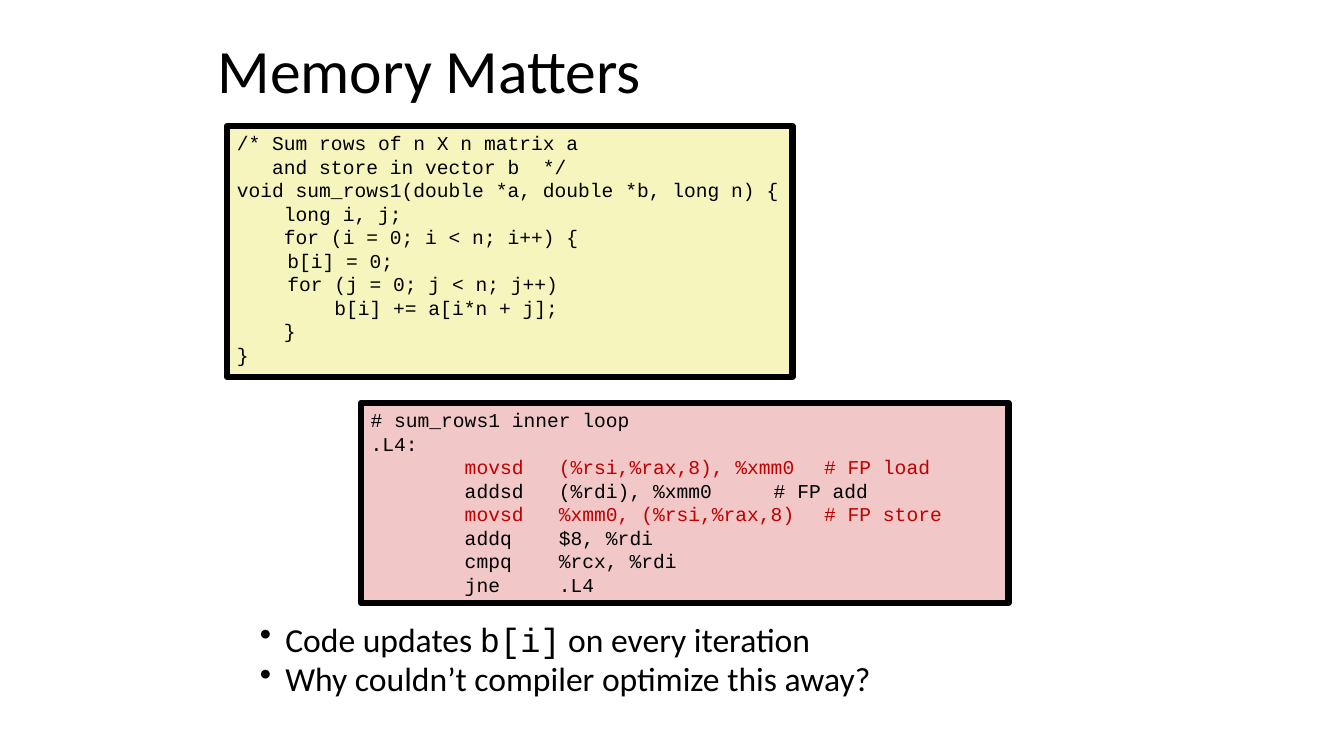
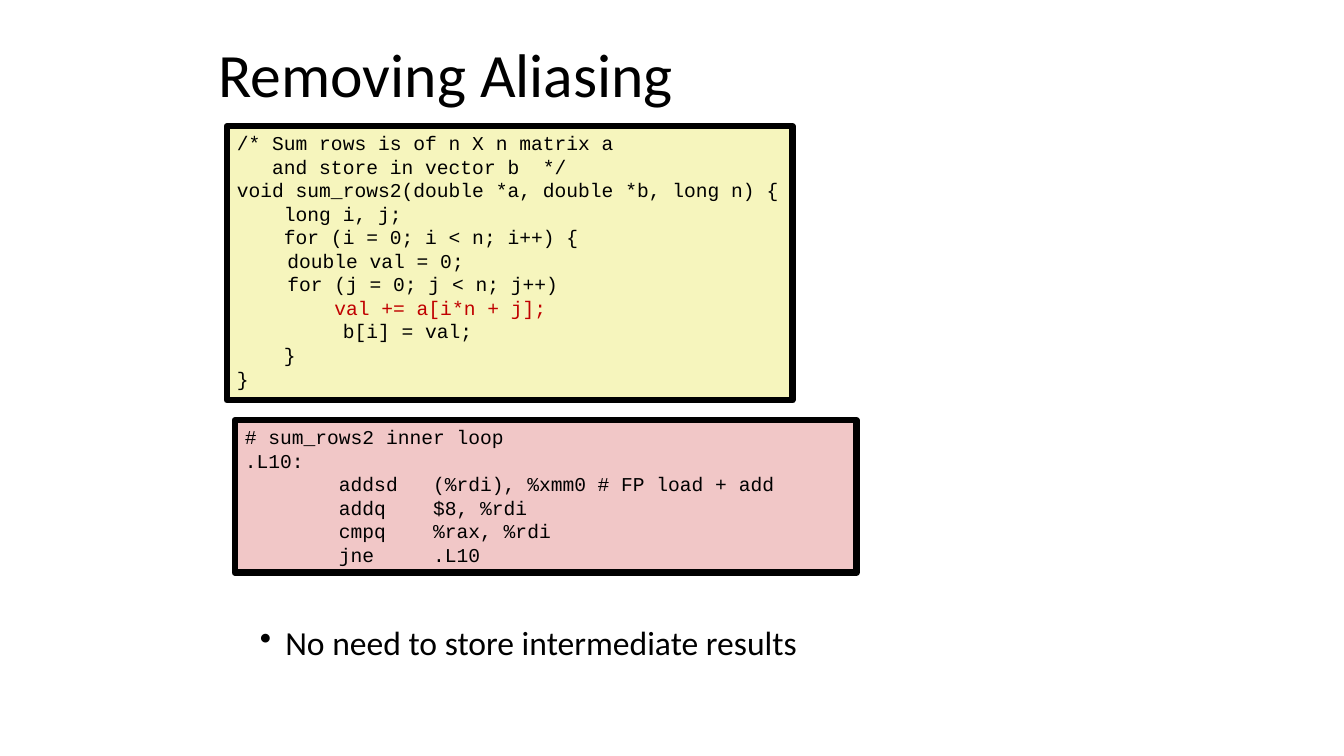
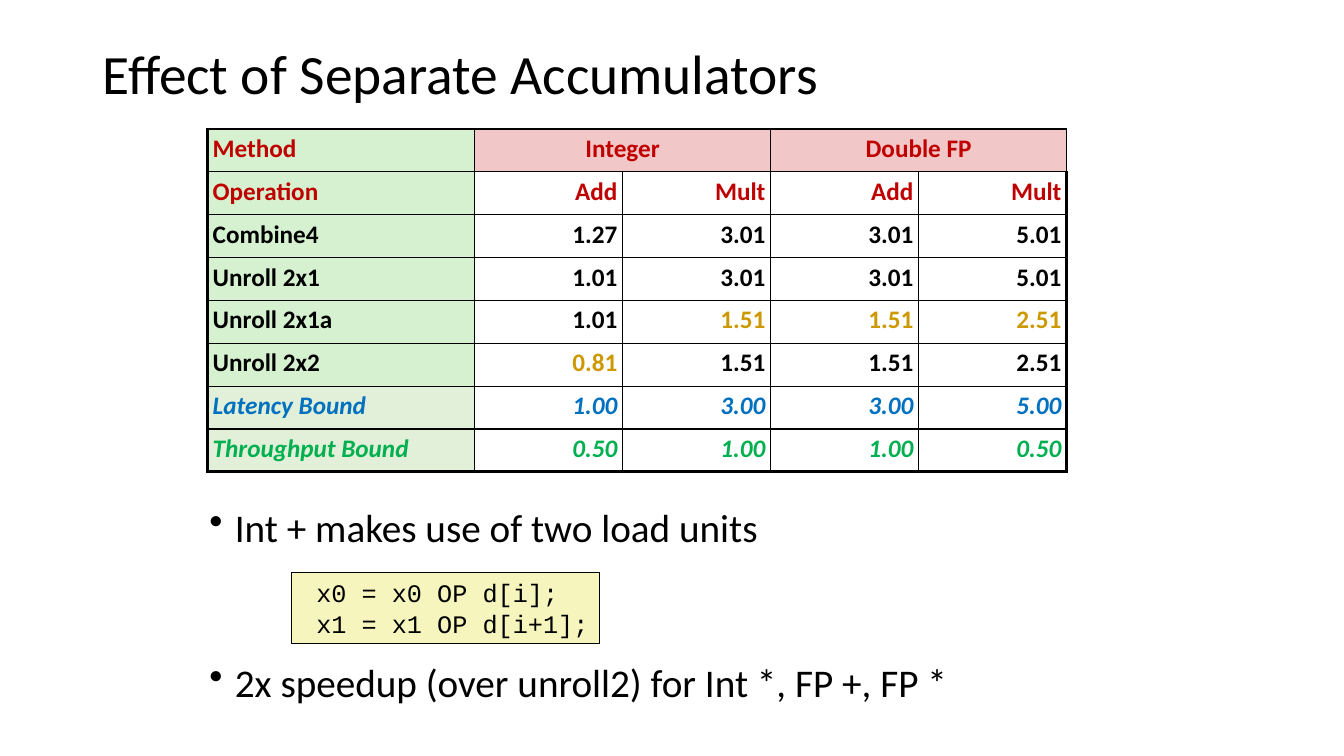
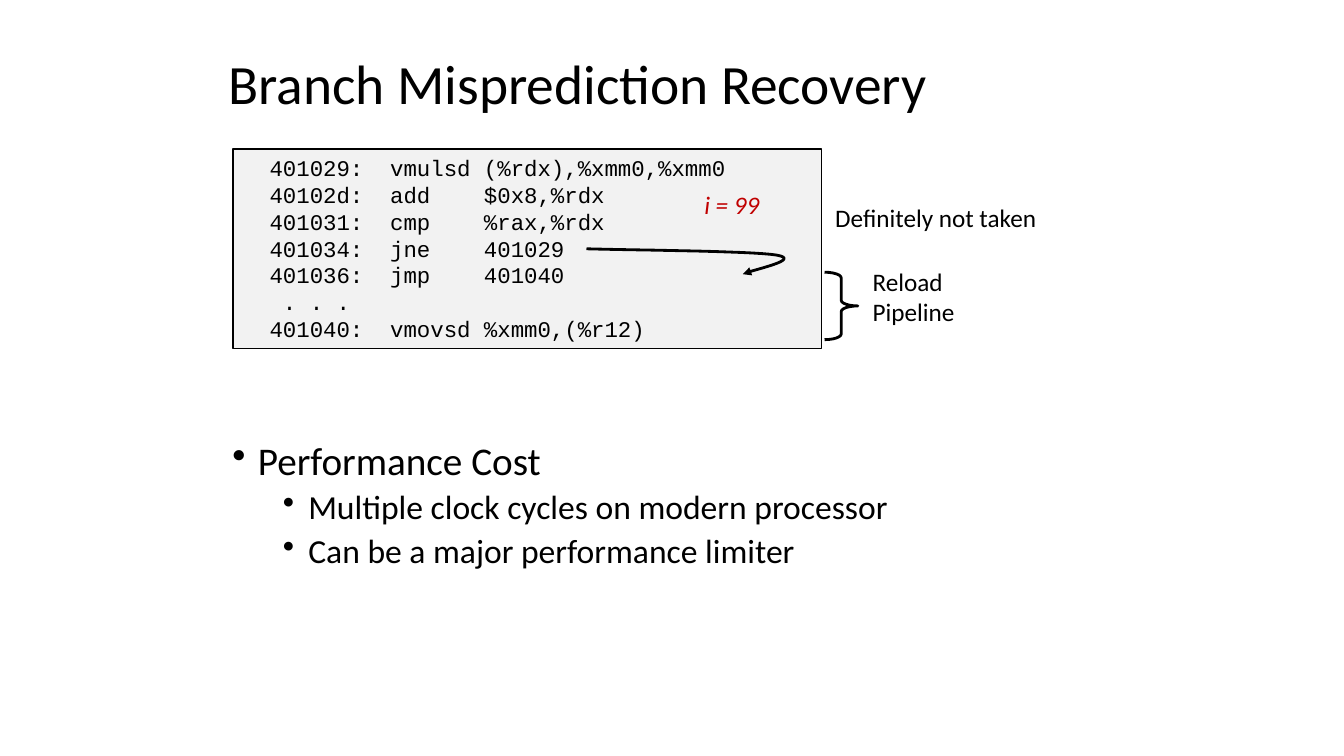
from lxml.etree import SubElement
from pptx import Presentation
from pptx.dml.color import RGBColor
from pptx.enum.shapes import MSO_SHAPE
from pptx.enum.text import MSO_ANCHOR, MSO_AUTO_SIZE, PP_ALIGN
from pptx.oxml.ns import qn
from pptx.util import Cm, Pt

BLACK = RGBColor(0x00, 0x00, 0x00)
WHITE = RGBColor(0xFF, 0xFF, 0xFF)
RED = RGBColor(0xC0, 0x00, 0x00)
GOLD = RGBColor(0xCC, 0x99, 0x00)
BLUE = RGBColor(0x00, 0x70, 0xC0)
GREEN = RGBColor(0x00, 0xB0, 0x50)
YELLOW = RGBColor(0xF6, 0xF5, 0xBD)
PINK = RGBColor(0xF1, 0xC7, 0xC7)
MINT = RGBColor(0xD5, 0xF1, 0xCF)
PALE = RGBColor(0xE2, 0xF0, 0xD9)
GREY = RGBColor(0xF2, 0xF2, 0xF2)
SANS, MONO = "Calibri", "Courier New"

# A code line is a string, or a string with its colour.
SUM1 = [
    "/* Sum rows of n X n matrix a",
    "   and store in vector b  */",
    "void sum_rows1(double *a, double *b, long n) {",
    "    long i, j;",
    "    for (i = 0; i < n; i++) {",
    "\tb[i] = 0;",
    "\tfor (j = 0; j < n; j++)",
    "\t    b[i] += a[i*n + j];",
    "    }",
    "}",
]
LOOP1 = [
    "# sum_rows1 inner loop",
    ".L4:",
    ("        movsd   (%rsi,%rax,8), %xmm0\t# FP load", RED),
    "        addsd   (%rdi), %xmm0\t\t# FP add",
    ("        movsd   %xmm0, (%rsi,%rax,8)\t# FP store", RED),
    "        addq    $8, %rdi",
    "        cmpq    %rcx, %rdi",
    "        jne     .L4",
]
SUM2 = [
    "/* Sum rows is of n X n matrix a",
    "   and store in vector b  */",
    "void sum_rows2(double *a, double *b, long n) {",
    "    long i, j;",
    "    for (i = 0; i < n; i++) {",
    "\tdouble val = 0;",
    "\tfor (j = 0; j < n; j++)",
    ("\t    val += a[i*n + j];", RED),
    "         b[i] = val;",
    "    }",
    "}",
]
LOOP2 = [
    "# sum_rows2 inner loop",
    ".L10:",
    "        addsd   (%rdi), %xmm0\t# FP load + add",
    "        addq    $8, %rdi",
    "        cmpq    %rax, %rdi",
    "        jne     .L10",
]
PAIR = [" x0 = x0 OP d[i];", " x1 = x1 OP d[i+1];"]
BRANCH = [
    "  401029:  vmulsd (%rdx),%xmm0,%xmm0",
    "  40102d:  add    $0x8,%rdx",
    "  401031:  cmp    %rax,%rdx",
    "  401034:  jne    401029",
    "  401036:  jmp    401040",
    "   . . .",
    "  401040:  vmovsd %xmm0,(%r12)",
]

# Each row: cells, text colour, fill of the first cell
ROWS = [
    (["Method", "Integer", "", "Double FP", ""], RED, MINT),
    (["Operation", "Add", "Mult", "Add", "Mult"], RED, MINT),
    (["Combine4", "1.27", "3.01", "3.01", "5.01"], BLACK, MINT),
    (["Unroll 2x1", "1.01", "3.01", "3.01", "5.01"], BLACK, MINT),
    (["Unroll 2x1a", "1.01", "1.51", "1.51", "2.51"], BLACK, MINT),
    (["Unroll 2x2", "0.81", "1.51", "1.51", "2.51"], BLACK, MINT),
    (["Latency Bound", "1.00", "3.00", "3.00", "5.00"], BLUE, PALE),
    (["Throughput Bound", "0.50", "1.00", "1.00", "0.50"], GREEN, PALE),
]
BEST = {(4, 2), (4, 3), (4, 4), (5, 1)}
WIDTHS = [6.73] + [3.73] * 4
HIGH = 1.08

# Start point, then two cubic curves
START = (14.78, 6.27)
CURVES = [
    [(15.57, 6.3), (18.92, 6.32), (19.58, 6.43)],
    [(20.24, 6.55), (18.9, 6.81), (18.72, 6.91)],
]
STEPS = 16


def place(box):
    return [Cm(n) for n in box]


def style(para, size, color=BLACK, name=SANS, bold=None, italic=None):
    font = para.font
    font.size, font.name = Pt(size), name
    font.bold, font.italic = bold, italic
    font.color.rgb = color


def fill_lines(frame, lines, size, color=BLACK, name=SANS, italic=None):
    for i, line in enumerate(lines):
        words, tint = (line, color) if isinstance(line, str) else line
        para = frame.paragraphs[0] if i == 0 else frame.add_paragraph()
        para.text = words
        para.alignment = PP_ALIGN.LEFT
        style(para, size, tint, name, italic=italic)


def add_title(slide, box, words, size=44):
    frame = slide.shapes.add_textbox(*place(box)).text_frame
    frame.word_wrap = True
    frame.vertical_anchor = MSO_ANCHOR.MIDDLE
    para = frame.paragraphs[0]
    para.text = words
    para.line_spacing = 0.9
    style(para, size)


def add_list(slide, box, items, space=0.9):
    """Items are (level, text, points before); `marked` text is code."""
    frame = slide.shapes.add_textbox(*place(box)).text_frame
    frame.word_wrap = True
    for i, (level, words, gap) in enumerate(items):
        para = frame.paragraphs[0] if i == 0 else frame.add_paragraph()
        for j, part in enumerate(words.split("`")):
            run = para.add_run()
            run.text = part
            if j % 2:
                run.font.name = MONO
        props = para._p.get_or_add_pPr()
        props.set("marL", str(Cm(0.64 + 1.27 * level)))
        props.set("indent", str(-Cm(0.64)))
        SubElement(props, qn("a:buChar"), char="•")
        para.level = level
        para.line_spacing = space
        if i:
            para.space_before = Pt(gap)
        style(para, 24 if level else 28)


def add_code(slide, box, lines, fill, size=14, edge=4.5, wrap=False):
    shape = slide.shapes.add_shape(MSO_SHAPE.RECTANGLE, *place(box))
    shape.shadow.inherit = False
    shape.fill.solid()
    shape.fill.fore_color.rgb = fill
    shape.line.color.rgb = BLACK
    shape.line.width = Pt(edge)
    frame = shape.text_frame
    frame.word_wrap = wrap
    frame.auto_size = MSO_AUTO_SIZE.SHAPE_TO_FIT_TEXT
    frame.vertical_anchor = MSO_ANCHOR.TOP
    fill_lines(frame, lines, size, name=MONO)


def add_note(slide, box, lines, color=BLACK, italic=None):
    frame = slide.shapes.add_textbox(*place(box)).text_frame
    frame.word_wrap = len(lines) > 1
    frame.auto_size = MSO_AUTO_SIZE.SHAPE_TO_FIT_TEXT
    fill_lines(frame, lines, 18, color, italic=italic)


def outline(shape):
    shape.shadow.inherit = False
    shape.fill.background()
    shape.line.color.rgb = BLACK
    shape.line.width = Pt(2)


def add_edges(cell, outer):
    """Draw all four borders, thicker on the sides named in outer."""
    props = cell._tc.get_or_add_tcPr()
    for side in "LRTB":
        width = Pt(2.25 if side in outer else 1)
        line = SubElement(props, qn("a:ln" + side), w=str(width))
        solid = SubElement(line, qn("a:solidFill"))
        SubElement(solid, qn("a:srgbClr"), val=str(BLACK))


def add_grid(slide, left, top):
    count, span = len(ROWS), len(WIDTHS)
    box = (left, top, sum(WIDTHS), HIGH * count)
    table = slide.shapes.add_table(count, span, *place(box)).table
    table.first_row = table.horz_banding = False
    for col, width in zip(table.columns, WIDTHS):
        col.width = Cm(width)
    for r, (words, color, head) in enumerate(ROWS):
        table.rows[r].height = Cm(HIGH)
        for c, word in enumerate(words):
            cell = table.cell(r, c)
            cell.margin_left = cell.margin_right = Cm(0.13)
            cell.margin_top = cell.margin_bottom = Cm(0.13)
            sides = {"L": c == 0, "R": c == span - 1,
                     "T": r == 0, "B": r == count - 1}
            add_edges(cell, [side for side in sides if sides[side]])
            cell.fill.solid()
            cell.fill.fore_color.rgb = head if c == 0 else WHITE if r else PINK
            para = cell.text_frame.paragraphs[0]
            para.text = word
            para.line_spacing = 0.95
            if c:
                para.alignment = PP_ALIGN.RIGHT if r else PP_ALIGN.CENTER
            style(para, 18, GOLD if (r, c) in BEST else color,
                  bold=True, italic=color in (BLUE, GREEN))
    for c in (1, 3):
        table.cell(0, c).merge(table.cell(0, c + 1))


def trace(start, curves):
    """Return points along a chain of cubic curves."""
    points = []
    for one, two, end in curves:
        for step in range(1, STEPS + 1):
            t = step / STEPS
            u = 1 - t
            points.append(tuple(
                Cm(u**3 * a + 3 * u * u * t * b + 3 * u * t * t * c + t**3 * d)
                for a, b, c, d in zip(start, one, two, end)))
        start = end
    return points


def add_arrow(slide):
    pen = slide.shapes.build_freeform(*place(START))
    pen.add_line_segments(trace(START, CURVES), close=False)
    arrow = pen.convert_to_shape()
    outline(arrow)
    line = arrow.element.spPr.find(qn("a:ln"))
    SubElement(line, qn("a:tailEnd"), type="triangle")


def memory(slide):
    add_title(slide, (5.23, 0.81, 21.08, 2.11), "Memory Matters")
    add_list(slide, (5.03, 15.67, 23.09, 2.24), [
        (1, "Code updates `b[i]` on every iteration", 0),
        (1, "Why couldn’t compiler optimize this away?", 5),
    ], 0.8)
    add_code(slide, (9.09, 10.16, 16.33, 5.03), LOOP1, PINK)
    add_code(slide, (5.72, 3.18, 14.25, 6.32), SUM1, YELLOW)


def aliasing(slide):
    add_title(slide, (5.26, 0.89, 21.08, 2.11), "Removing Aliasing")
    add_list(slide, (5.03, 15.67, 23.09, 2.24), [
        (1, "No need to store intermediate results", 0),
    ])
    add_code(slide, (5.92, 10.59, 15.67, 3.84), LOOP2, PINK, wrap=True)
    add_code(slide, (5.72, 3.18, 14.25, 6.91), SUM2, YELLOW)


def effect(slide):
    add_title(slide, (2.34, 1.02, 29.21, 1.8),
              "Effect of Separate Accumulators", 39.6)
    add_list(slide, (5.03, 12.78, 23.09, 5.21), [
        (0, "Int + makes use of two load units", 0),
        (0, "2x speedup (over unroll2) for Int *, FP +, FP *", 84),
    ], 0.8)
    add_code(slide, (7.34, 14.43, 7.77, 1.78), PAIR, YELLOW, 18, 1)
    add_grid(slide, 5.23, 3.25)


def recovery(slide):
    add_title(slide, (5.51, 1.37, 20.98, 1.6),
              "Branch Misprediction Recovery", 39.6)
    add_list(slide, (5.61, 11, 22.25, 3.81), [
        (0, "Performance Cost", 0),
        (1, "Multiple clock cycles on modern processor", 5),
        (1, "Can be a major performance limiter", 5),
    ])
    add_code(slide, (5.87, 3.76, 14.83, 5.03), BRANCH, GREY, 16, 1, True)
    add_arrow(slide)
    add_note(slide, (17.5, 4.65, 1.93, 1.02), ["i = 99"], RED, True)
    add_note(slide, (20.8, 4.98, 5.64, 1.02), ["Definitely not taken"])
    brace = slide.shapes.add_shape(
        MSO_SHAPE.RIGHT_BRACE, *place((20.78, 6.86, 0.84, 1.7)))
    brace.adjustments[0] = 0.17
    outline(brace)
    add_note(slide, (21.74, 6.58, 2.59, 1.8), ["Reload", "Pipeline"])


def main():
    deck = Presentation()
    deck.slide_width, deck.slide_height = Cm(33.87), Cm(19.05)
    for build in (memory, aliasing, effect, recovery):
        build(deck.slides.add_slide(deck.slide_layouts[6]))
    deck.save("out.pptx")


if __name__ == "__main__":
    main()
